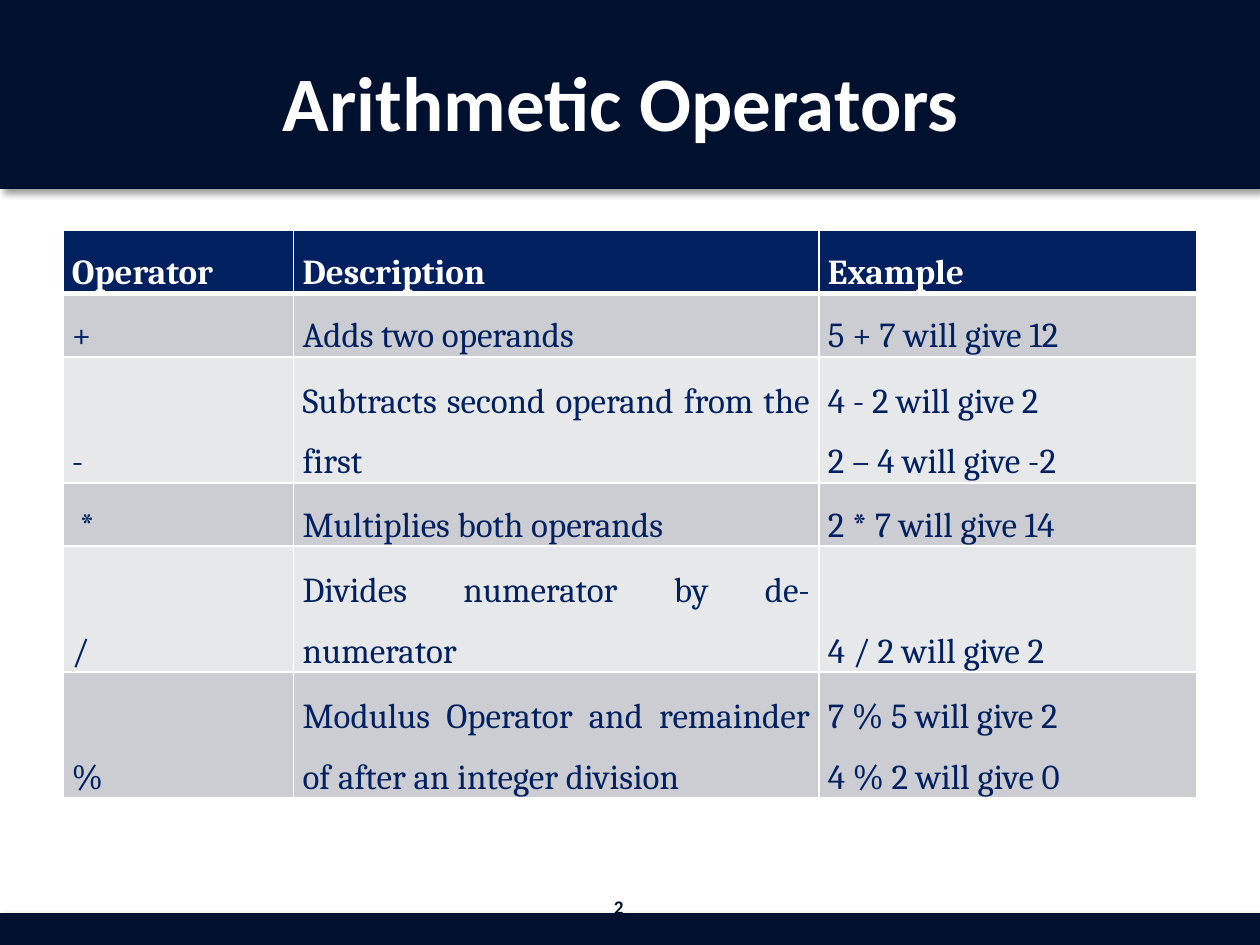
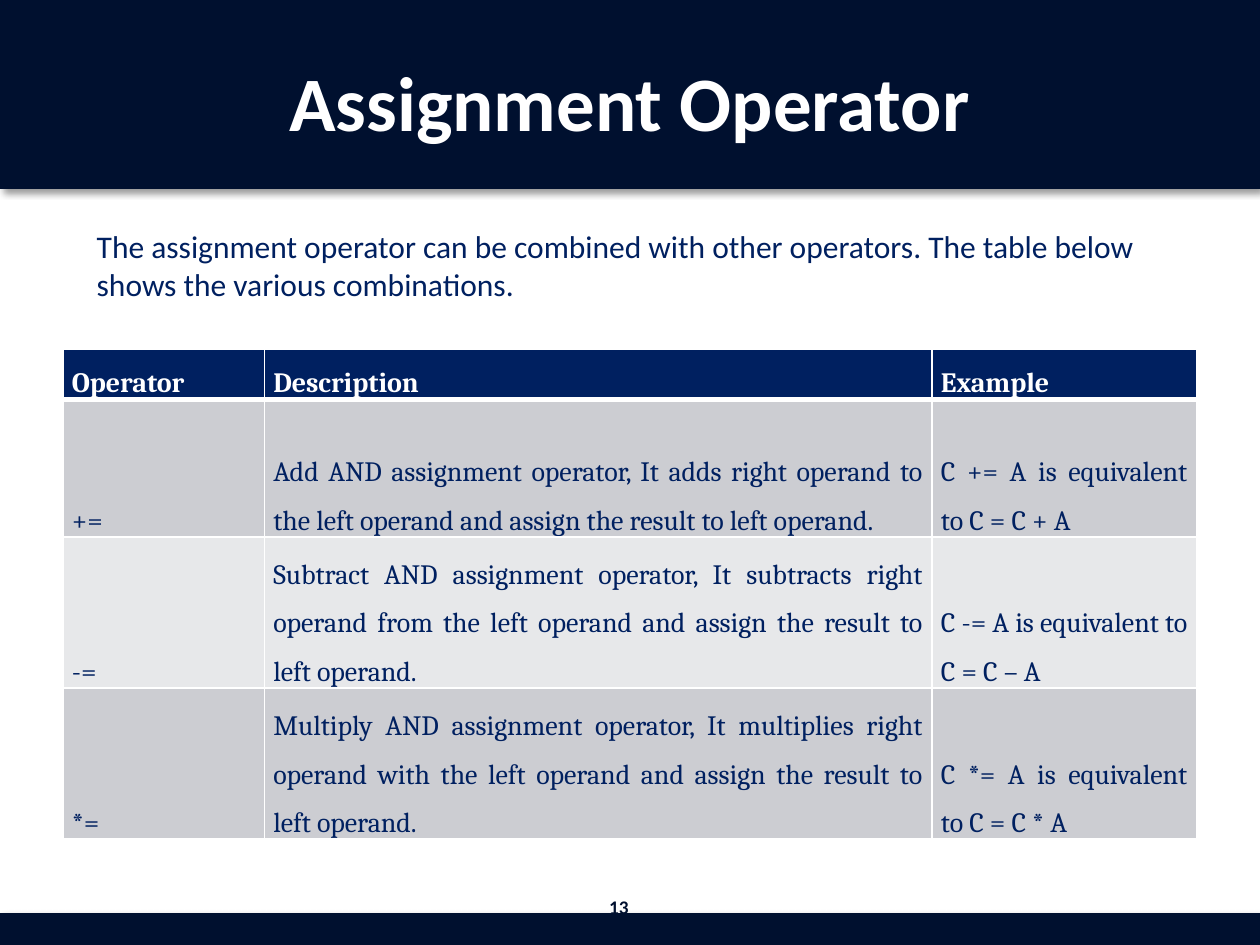
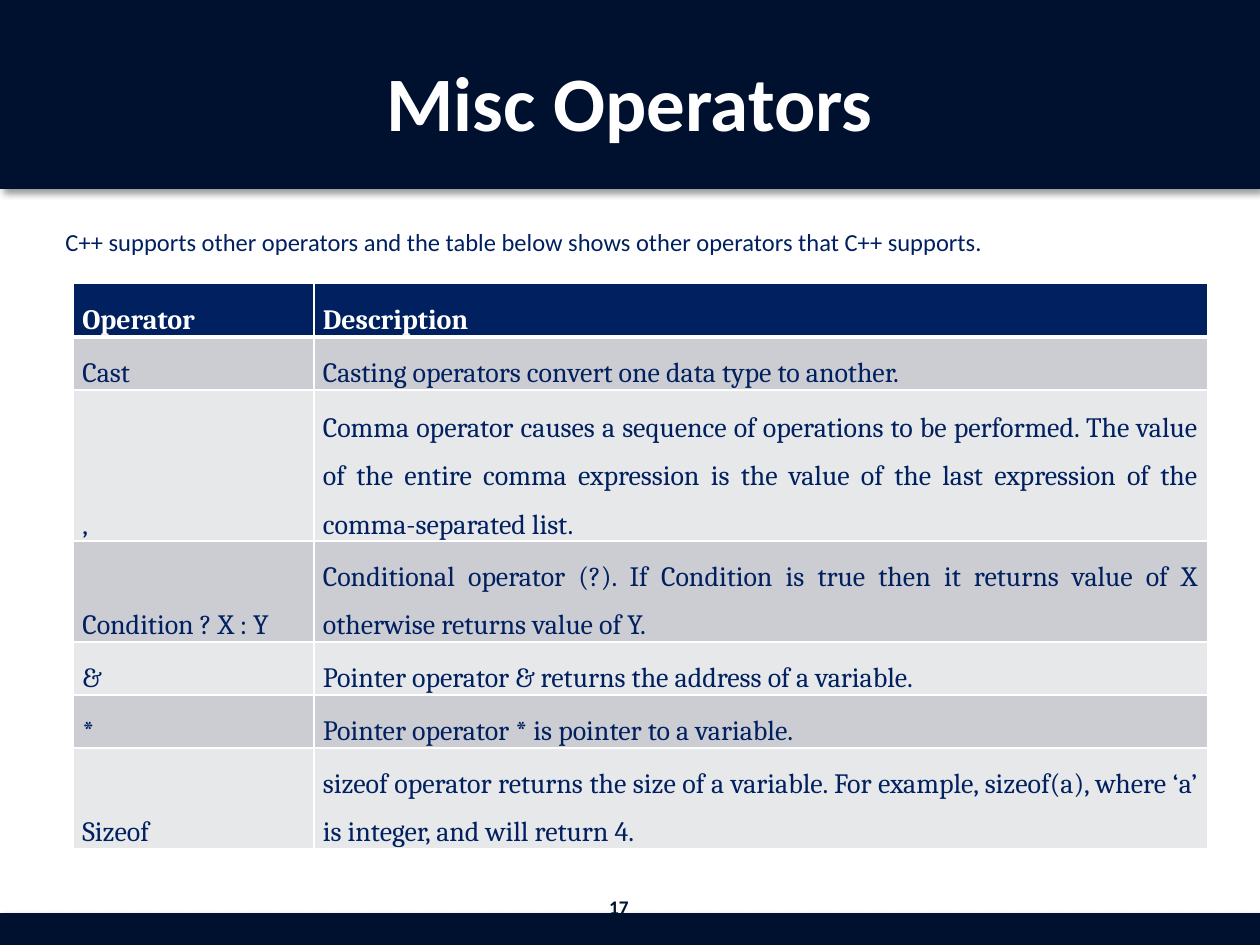
from lxml.etree import SubElement
from pptx import Presentation
from pptx.dml.color import RGBColor as Rgb
from pptx.enum.shapes import MSO_SHAPE as Shape
from pptx.enum.text import MSO_ANCHOR as Anchor, MSO_AUTO_SIZE as AutoSize, PP_ALIGN as Align
from pptx.oxml.ns import qn
from pptx.util import Cm, Pt

COLORS = {
    "band": "00102F",
    "ink": "002060",
    "white": "FFFFFF",
    "odd_row": "CCCDD2",
    "even_row": "E7E8EA",
    "shadow": "000000",
}
WIDTH, HEIGHT = 25.4, 19.05
TITLE_BAND, FOOTER_BAND = 3.81, 0.64
TABLE_WIDTH = 22.86

ARITHMETIC = [
    ("Operator", "Description", "Example"),
    ("+", "Adds two operands", "5 + 7 will give 12"),
    ("-", "Subtracts second operand from the first", "4 - 2 will give 2\n2 – 4 will give -2"),
    (" *", "Multiplies both operands", "2 * 7 will give 14"),
    ("/", "Divides numerator by de-numerator", "4 / 2 will give 2"),
    ("%", "Modulus Operator and remainder of after an integer division",
     "7 % 5 will give 2\n4 % 2 will give 0"),
]
ASSIGNMENT = [
    ("Operator", "Description", "Example"),
    ("+=", "Add AND assignment operator, It adds right operand to the left operand "
     "and assign the result to left operand.", "C += A is equivalent to C = C + A"),
    ("-=", "Subtract AND assignment operator, It subtracts right operand from the left operand "
     "and assign the result to left operand.", "C -= A is equivalent to C = C – A"),
    ("*=", "Multiply AND assignment operator, It multiplies right operand with the left operand "
     "and assign the result to left operand.", "C *= A is equivalent to C = C * A"),
]
MISC = [
    ("Operator ", "Description"),
    ("Cast", "Casting operators convert one data type to another."),
    (",", "Comma operator causes a sequence of operations to be performed. The value of the "
     "entire comma expression is the value of the last expression of the comma-separated list."),
    ("Condition ? X : Y", "Conditional operator (?). If Condition is true then it returns "
     "value of X otherwise returns value of Y."),
    ("&", "Pointer operator & returns the address of a variable. "),
    ("*", "Pointer operator * is pointer to a variable. "),
    ("Sizeof", "sizeof operator returns the size of a variable. For example, sizeof(a), "
     "where ‘a’ is integer, and will return 4."),
]


def color(name):
    """Return the named colour."""
    return Rgb.from_string(COLORS[name])


def write(frame, text, size, ink, font="Calibri", bold=False, align=Align.LEFT, spacing=None):
    """Fill a text frame and format its paragraphs and runs."""
    frame.text = text
    for para in frame.paragraphs:
        para.alignment = align
        para.line_spacing = spacing
        for span in para.runs:
            span.font.name = font
            span.font.size = Pt(size)
            span.font.bold = bold
            span.font.color.rgb = color(ink)


def add_shadow(shape):
    """Give a shape a soft shadow towards the lower right."""
    effects = SubElement(shape.element.spPr, qn("a:effectLst"))
    shadow = SubElement(effects, qn("a:outerShdw"), blurRad=str(Pt(4)), dist=str(Pt(3)),
                        dir="2700000", algn="tl", rotWithShape="0")
    tint = SubElement(shadow, qn("a:srgbClr"), val=COLORS["shadow"])
    SubElement(tint, qn("a:alpha"), val="40000")


def add_layout_bands(slide):
    """Put the title and footer bands behind everything in the slide's layout."""
    layout_title = slide.slide_layout.placeholders[0]
    for top, height in ((HEIGHT - FOOTER_BAND, FOOTER_BAND), (0, TITLE_BAND)):
        band = slide.shapes.add_shape(Shape.RECTANGLE, 0, Cm(top), Cm(WIDTH), Cm(height))
        band.fill.solid()
        band.fill.fore_color.rgb = color("band")
        band.line.fill.background()
        add_shadow(band)
        layout_title.element.addprevious(band.element)


def add_text(slide, text, left, top, width, height, size, ink, **style):
    """Add a wrapping text box and return its text frame."""
    box = slide.shapes.add_textbox(Cm(left), Cm(top), Cm(width), Cm(height))
    box.text_frame.word_wrap = True
    write(box.text_frame, text, size, ink, **style)
    return box.text_frame


def add_intro(slide, text, left, width, height, size, align=Align.LEFT):
    """Add the sentence that introduces a table."""
    frame = add_text(slide, text, left, 4.45, width, height, size, "ink", align=align)
    frame.auto_size = AutoSize.SHAPE_TO_FIT_TEXT


def add_titled_slide(deck, title, number):
    """Add a slide with its title and page number."""
    slide = deck.slides.add_slide(deck.slide_layouts[5])
    heading = slide.shapes.title
    heading.left, heading.top = Cm(1.27), Cm(0.43)
    heading.width, heading.height = Cm(22.86), Cm(3.18)
    heading.text_frame.vertical_anchor = Anchor.MIDDLE
    write(heading.text_frame, title, 44, "white", bold=True, align=Align.CENTER)
    page_number = add_text(slide, str(number), 11.94, 17.78, 1.07, 1.02, 11, "band",
                           bold=True, align=Align.CENTER)
    page_number.vertical_anchor = Anchor.MIDDLE
    return slide


def set_borders(cell, top, bottom):
    """Draw white cell borders with the given top and bottom widths."""
    properties = cell._tc.get_or_add_tcPr()
    for side, points in (("L", 1), ("R", 1), ("T", top), ("B", bottom)):
        line = SubElement(properties, qn(f"a:ln{side}"), w=str(Pt(points)))
        fill = SubElement(line, qn("a:solidFill"))
        SubElement(fill, qn("a:srgbClr"), val=COLORS["white"])


def format_cell(cell, text, row, size):
    """Style a table cell by the row it stands in."""
    header = row == 0
    set_borders(cell, 3 if row == 1 else 1, 3 if header else 1)
    cell.fill.solid()
    cell.fill.fore_color.rgb = color("ink" if header else "odd_row" if row % 2 else "even_row")
    cell.vertical_anchor = Anchor.BOTTOM
    cell.margin_left = cell.margin_right = Cm(0.18)
    cell.margin_top = cell.margin_bottom = 0
    write(cell.text_frame, text, size, "white" if header else "ink", font="Cambria",
          bold=header, align=Align.JUSTIFY, spacing=1.5)


def add_operator_table(slide, rows, left, top, height, widths, heights, size):
    """Add a banded table of operators."""
    frame = slide.shapes.add_table(len(rows), len(widths), Cm(left), Cm(top),
                                   Cm(TABLE_WIDTH), Cm(height))
    table = frame.table
    for column, width in zip(table.columns, widths):
        column.width = Cm(width)
    for row, (texts, row_height) in enumerate(zip(rows, heights)):
        table.rows[row].height = Cm(row_height)
        for column, text in enumerate(texts):
            format_cell(table.cell(row, column), text, row, size)
    frame.height = Cm(height)


def main():
    """Build the three operator slides."""
    deck = Presentation()
    deck.slide_width, deck.slide_height = Cm(WIDTH), Cm(HEIGHT)

    slide = add_titled_slide(deck, "Arithmetic Operators ", 2)
    add_layout_bands(slide)
    add_operator_table(slide, ARITHMETIC, 1.27, 4.65, 10.62, (4.65, 10.59, 7.62),
                       [1.04] * 6, 20)

    slide = add_titled_slide(deck, "Assignment Operator", 13)
    add_intro(slide, "The assignment operator can be combined with other operators. "
              "The table below shows the various combinations.", 1.7, 22.43, 1.8, 18)
    add_operator_table(slide, ASSIGNMENT, 1.27, 7.04, 9.73, (4.06, 13.46, 5.33),
                       [0.91] + [2.77] * 3, 16)

    slide = add_titled_slide(deck, "Misc Operators", 17)
    add_intro(slide, "C++ supports other operators and the table below shows other operators "
              "that C++ supports.", 1.07, 23.5, 1.45, 14, Align.JUSTIFY)
    add_operator_table(slide, MISC, 1.48, 5.72, 11.05, (4.85, 18.01),
                       (1.07, 1.07, 2.16, 1.45, 1.07, 1.07, 1.45), 16)

    deck.save("out.pptx")


if __name__ == "__main__":
    main()
